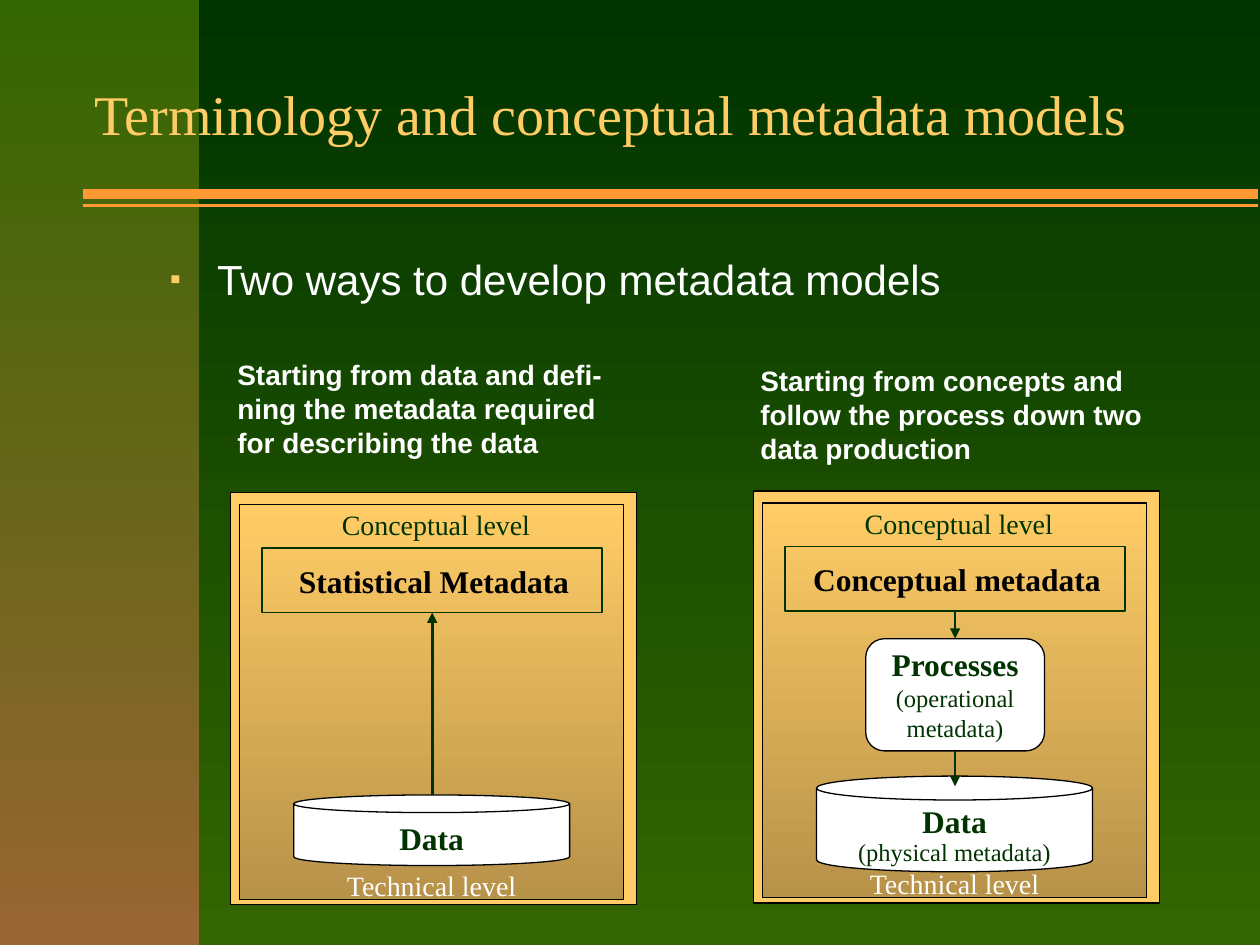
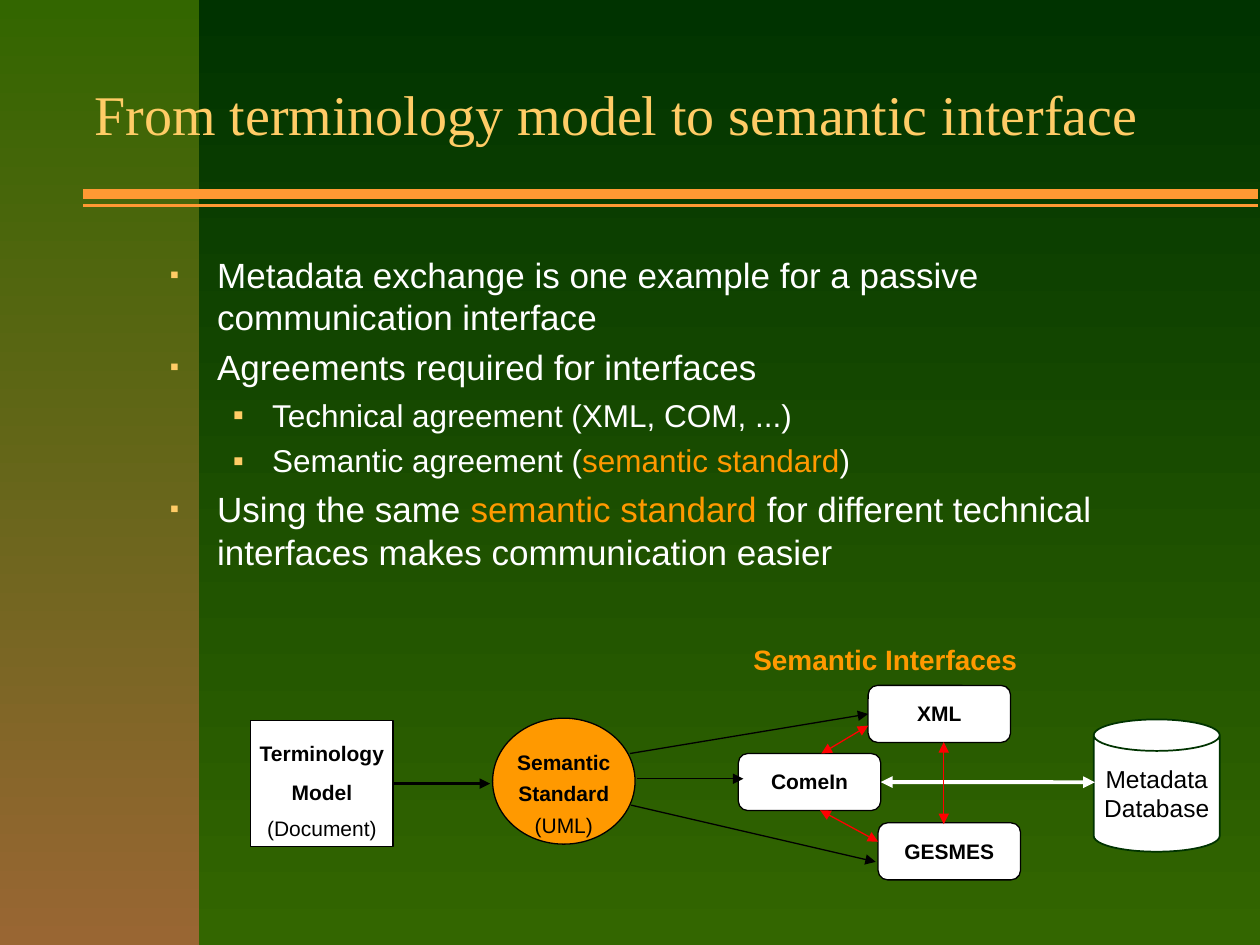
from dataclasses import dataclass

from lxml import etree
from pptx import Presentation
from pptx import util as u
from pptx.dml.color import RGBColor
from pptx.enum import shapes, text
from pptx.oxml.ns import qn


@dataclass(frozen=True)
class Theme:
    dark: str = "003300"
    green: str = "336600"
    brown: str = "996633"
    sand: str = "FFCC66"
    shade: str = "B79249"
    rule: str = "FF9933"
    accent: str = "FF9900"
    red: str = "FF0000"
    white: str = "FFFFFF"
    black: str = "000000"
    serif: str = "Times New Roman"
    sans: str = "Arial"
    title: int = 32
    lead: int = 24
    bullet: int = 20
    heading: int = 18
    caption: int = 16
    note: int = 14
    node: int = 12


T = Theme()
KIND = shapes.MSO_SHAPE
LEFT, CENTER = text.PP_ALIGN.LEFT, text.PP_ALIGN.CENTER
TOP, MIDDLE = text.MSO_ANCHOR.TOP, text.MSO_ANCHOR.MIDDLE
WIDE, TIGHT, NARROW, CAP = (7.2, 3.6, 7.2, 3.6), (1.4, 0.7, 1.4, 0.7), (1.4, 3.6, 1.4, 3.6), (7.2, 0.7, 7.2, 3.6)

RULES = [(117.4, 2), (110.9, 6)]
RULE_SPAN = (47.5, 718.6)
BODY_AREA = (90, 141.1, 612, 326.9)
LEVELS = [dict(margin=27, hang=27, size=75), dict(margin=58.5, hang=22.5, size=100)]


def line(words, size, color, bold=False, font=T.sans, spacing=None, before=None, level=None):
    return dict(words=words, size=size, color=color, bold=bold, font=font,
                spacing=spacing, before=before, level=level)


def serif(words, size=T.heading, color=T.dark, bold=False, spacing=None):
    return line(words, size, color, bold, T.serif, spacing)


def bullet(words, level=0, size=T.bullet, before=5):
    return line(words, size, T.white, before=before, level=level)


def node(words, bold=True, spacing=None, before=None):
    return line(words, T.node, T.black, bold, T.sans, spacing, before)


MODELS_TITLE = "Terminology and conceptual metadata models"
MODELS_BODY = [bullet("Two ways to develop metadata models", size=T.lead, before=None)]
PANELS = [
    dict(origin=(131.8, 281.6), heading_top=201,
         heading="Starting from data and defi-ning the metadata required for describing the data",
         concept="Statistical Metadata",
         data=[serif("Data", bold=True)], data_top=454.3, data_height=40.3,
         process=None),
    dict(origin=(430.6, 280.6), heading_top=204.5,
         heading="Starting from concepts and follow the process down two data production",
         concept="Conceptual metadata",
         data=[serif("Data", bold=True, spacing=0.9),
               serif("(physical metadata)", T.note, spacing=0.9)],
         data_top=443.5, data_height=54.7,
         process=[serif("Processes", bold=True), serif("(operational metadata)", T.note)]),
]

INTERFACE_TITLE = "From terminology model to semantic interface"
INTERFACE_BODY = [
    bullet("Metadata exchange is one example for a passive communication interface", before=None),
    bullet("Agreements required for interfaces"),
    bullet("Technical agreement (XML, COM, ...)", 1, T.heading, 4.5),
    bullet([("Semantic agreement (", T.white), ("semantic standard", T.accent), (")", T.white)],
           1, T.heading, 4.5),
    bullet([("Using the same ", T.white), ("semantic standard", T.accent),
            (" for different technical interfaces makes communication easier", T.white)]),
]
INTERFACE_SIZE = (81.4, 32.6)
INTERFACES = [("XML", 496.1, 391.7), ("ComeIn", 421.9, 430.6), ("GESMES", 501.8, 470.2)]
EXCHANGES = [((468.7, 463), (501.8, 481)), ((469.4, 430.6), (496.1, 414.7)),
             ((539.3, 424.1), (539.3, 470.9))]
STANDARD_LINKS = [((360.7, 460.1), (500.4, 492.5), None), ((360, 430.6), (495.4, 407.5), "XML"),
                  ((364.3, 445), (424.8, 445), None)]


def rgb(color):
    return RGBColor.from_string(color)


def paint(fill, color):
    if color is None:
        fill.background()
    elif isinstance(color, tuple):
        fill.gradient()
        fill.gradient_angle = 270
        for stop, shade in zip(fill.gradient_stops, color):
            stop.color.rgb = rgb(shade)
    else:
        fill.solid()
        fill.fore_color.rgb = rgb(color)


def add_bullet(para, level):
    look = LEVELS[level]
    para.level = level
    props = para._p.get_or_add_pPr()
    props.set("marL", str(u.Pt(look["margin"])))
    props.set("indent", str(-u.Pt(look["hang"])))
    color = etree.SubElement(props, qn("a:buClr"))
    etree.SubElement(color, qn("a:srgbClr"), val=T.sand)
    etree.SubElement(props, qn("a:buSzPct"), val=str(look["size"] * 1000))
    etree.SubElement(props, qn("a:buFont"), typeface=T.sans)
    etree.SubElement(props, qn("a:buChar"), char="▪")


def style(span, item, color):
    span.font.size = u.Pt(item["size"])
    span.font.name = item["font"]
    span.font.bold = item["bold"]
    span.font.color.rgb = rgb(color)


def write(box, items, align=CENTER, insets=WIDE, anchor=TOP, wrap=True):
    frame = box.text_frame
    frame.auto_size = text.MSO_AUTO_SIZE.NONE
    frame.word_wrap = wrap
    frame.vertical_anchor = anchor
    frame.margin_left, frame.margin_top, frame.margin_right, frame.margin_bottom = map(u.Pt, insets)
    for index, item in enumerate(items):
        para = frame.add_paragraph() if index else frame.paragraphs[0]
        if item["level"] is not None:
            add_bullet(para, item["level"])
        para.alignment = align
        if item["spacing"]:
            para.line_spacing = item["spacing"]
        if item["before"]:
            para.space_before = u.Pt(item["before"])
        words = item["words"]
        for words_part, color in [(words, item["color"])] if isinstance(words, str) else words:
            span = para.add_run()
            span.text = words_part
            style(span, item, color)


def add_box(page, kind, area, fill, outline=T.black, weight=0.75):
    box = page.shapes.add_shape(kind, *map(u.Pt, area))
    box.shadow.inherit = False
    paint(box.fill, fill)
    if outline:
        box.line.color.rgb = rgb(outline)
        box.line.width = u.Pt(weight)
    else:
        box.line.fill.background()
    return box


def add_text(page, area, items, **options):
    box = page.shapes.add_textbox(*map(u.Pt, area))
    write(box, items, **options)


def add_link(page, start, end, color, weight, head=False, tail=True, begin=None, finish=None):
    link = page.shapes.add_connector(shapes.MSO_CONNECTOR.STRAIGHT, *map(u.Pt, start + end))
    if begin:
        link.begin_connect(*begin)
    if finish:
        link.end_connect(*finish)
    link.line.color.rgb = rgb(color)
    link.line.width = u.Pt(weight)
    props = link._element.spPr
    outline = props.find(qn("a:ln"))
    for tag, wanted in (("a:headEnd", head), ("a:tailEnd", tail)):
        if wanted:
            etree.SubElement(outline, qn(tag), type="triangle")
    etree.SubElement(props, qn("a:effectLst"))


def add_title_shadow(span):
    effects = etree.Element(qn("a:effectLst"))
    shadow = etree.SubElement(effects, qn("a:outerShdw"), dist=str(u.Pt(2)), dir="2700000")
    etree.SubElement(shadow, qn("a:srgbClr"), val=T.black)
    span.font._element.find(qn("a:solidFill")).addnext(effects)


def add_page(deck, heading, title_width, body):
    page = deck.slides.add_slide(deck.slide_layouts[5])
    paint(page.background.fill, (T.dark, T.green))
    add_box(page, KIND.RECTANGLE, (0, 0, 113.8, 540), (T.green, T.brown), None)
    for y, weight in RULES:
        add_link(page, (RULE_SPAN[0], y), (RULE_SPAN[1], y), T.rule, weight, tail=False)
    title = page.shapes.title
    page.shapes._spTree.append(title._element)
    title.left, title.top, title.width, title.height = map(u.Pt, (46.8, 20.9, title_width, 87.1))
    write(title, [serif(heading, T.title, T.sand)], align=LEFT, anchor=MIDDLE)
    add_title_shadow(title.text_frame.paragraphs[0].runs[0])
    add_text(page, BODY_AREA, body, align=LEFT)
    return page


def add_panel(page, panel):
    x, y = panel["origin"]
    add_box(page, KIND.RECTANGLE, (x, y, 231.8, 235.4), T.sand)
    add_box(page, KIND.RECTANGLE, (x + 5, y + 6.9, 219.6, 225.4), (T.sand, T.shade))
    data = add_box(page, KIND.CAN, (x + 36, panel["data_top"], 157.7, panel["data_height"]), T.white)
    write(data, panel["data"])
    for dx, dy, words, color in ((9.7, 8, "Conceptual level", T.dark),
                                 (7.2, 213.8, "Technical level", T.white)):
        add_text(page, (x + dx, y + dy, 215.3, 13.7), [serif(words, T.caption, color)], insets=TIGHT)
    concept = add_box(page, KIND.RECTANGLE, (x + 18, y + 31.7, 194.4, 36.7), None, T.dark, 1)
    write(concept, [serif(panel["concept"], color=T.black, bold=True)],
          insets=(9.2, 3.6, 7.2, 3.6), anchor=MIDDLE)
    add_text(page, (x - 3.2, panel["heading_top"], 242.6, 64.8),
             [line(panel["heading"], T.caption, T.white, True)], align=LEFT)

    center, concept_bottom = x + 115.2, y + 68.4
    if panel["process"]:
        process = add_box(page, KIND.ROUNDED_RECTANGLE, (center - 51.1, 365, 102.2, 64.1), T.white)
        write(process, panel["process"], insets=TIGHT)
        add_link(page, (center, concept_bottom), (center, 365), T.dark, 1.5,
                 begin=(concept, 2), finish=(process, 0))
        add_link(page, (center, 429.1), (center, 449.3), T.dark, 1.5, begin=(process, 2))
    else:
        add_link(page, (center, panel["data_top"]), (center, concept_bottom), T.dark, 1.5,
                 finish=(concept, 2))


def add_interface_diagram(page):
    terminology = add_box(page, KIND.RECTANGLE, (143.3, 411.8, 81.4, 72), T.white)
    write(terminology, [node("Terminology Model", spacing=1.55),
                        node("(Document)", False, before=6)], insets=NARROW)
    standard = add_box(page, KIND.OVAL, (281.5, 410.4, 81.4, 72), T.accent)
    write(standard, [node("Semantic Standard", spacing=1.25),
                     node("(UML)", False, 1.25)], insets=NARROW)
    database = add_box(page, KIND.CAN, (625, 411.1, 72, 75.6), T.white, T.dark, 1)
    write(database, [line(words, T.note, T.black) for words in ("Metadata", "Database")],
          anchor=MIDDLE, wrap=False)
    boxes = {}
    for name, x, y in INTERFACES:
        boxes[name] = add_box(page, KIND.ROUNDED_RECTANGLE, (x, y) + INTERFACE_SIZE, T.white)
        write(boxes[name], [node(name, spacing=1.45)], insets=CAP)
    add_text(page, (423.4, 363.6, 164.9, 26.6),
             [line("Semantic Interfaces", T.caption, T.accent, True)], align=LEFT, wrap=False)

    add_link(page, (503.3, 447), (625.7, 447), T.white, 2.25, head=True, begin=(boxes["ComeIn"], 3))
    add_link(page, (224.7, 447.8), (280.1, 447.8), T.black, 1.5, begin=(terminology, 3))
    for start, end in EXCHANGES:
        add_link(page, start, end, T.red, 0.75, head=True)
    for start, end, target in STANDARD_LINKS:
        add_link(page, start, end, T.black, 0.75, finish=(boxes[target], 1) if target else None)


def main():
    deck = Presentation()
    deck.slide_width, deck.slide_height = u.Pt(720), u.Pt(540)
    models = add_page(deck, MODELS_TITLE, 673.2, MODELS_BODY)
    for panel in PANELS:
        add_panel(models, panel)
    add_interface_diagram(add_page(deck, INTERFACE_TITLE, 613.4, INTERFACE_BODY))
    deck.save("out.pptx")


if __name__ == "__main__":
    main()
